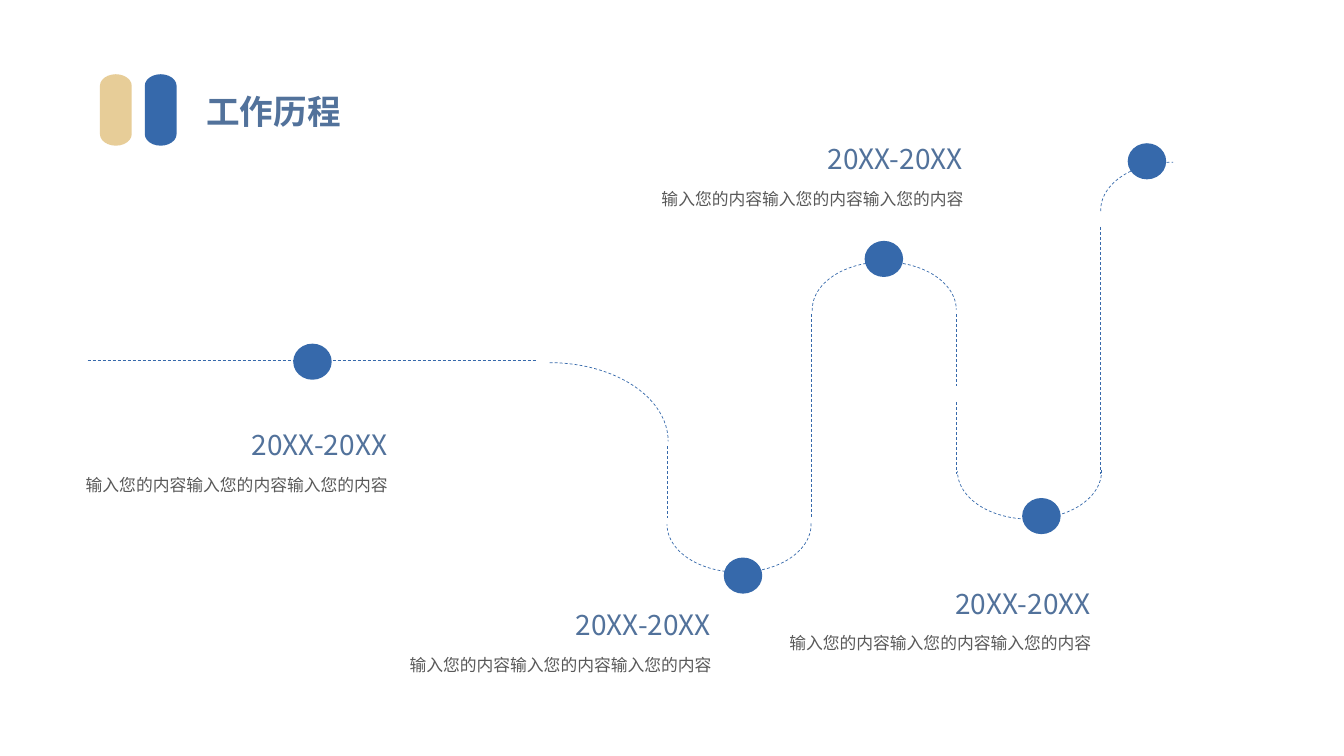
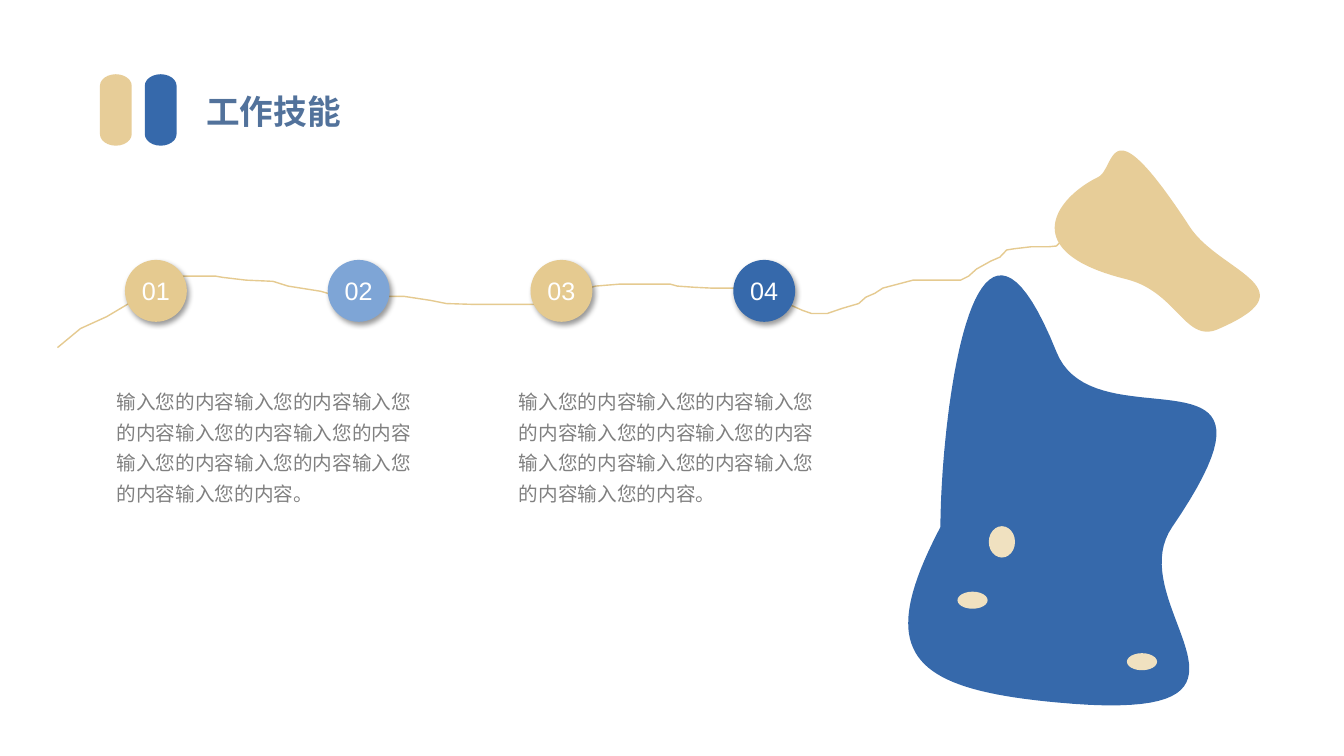
"""Build a two-slide career deck: a work timeline and a row of work skills."""
import dataclasses

import pptx
import pptx.dml.color
import pptx.enum.dml
import pptx.enum.shapes
import pptx.enum.text
import pptx.oxml
import pptx.oxml.ns
import pptx.util

Cm = pptx.util.Cm
Pt = pptx.util.Pt
Shape = pptx.enum.shapes.MSO_SHAPE
Align = pptx.enum.text.PP_ALIGN


@dataclasses.dataclass(frozen=True)
class Theme:
    """Colours, fonts and type sizes of the deck."""
    blue: str = "3669AB"
    light_blue: str = "7EA5D6"
    sand: str = "E7CD98"
    dark_sand: str = "E5CA90"
    pale_sand: str = "F0E1C0"
    heading: str = "52729B"
    body: str = "595959"
    soft_body: str = "808080"
    white: str = "FFFFFF"
    font: str = "Noto Sans CJK SC"
    number_font: str = "Arial"
    title_size: int = 24
    date_size: int = 20
    number_size: int = 18
    skill_size: int = 14
    detail_size: int = 12
    hairline: float = 0.5
    thread: float = 1


THEME = Theme()
PHRASE = "输入您的内容"

ROUTE_LINES = (
    (2.21, 9.09, 13.54, 9.09),
    (16.81, 11.25, 16.81, 13.06),
    (20.45, 7.92, 20.45, 13.08),
    (24.1, 7.92, 24.1, 9.73),
    (24.1, 10.13, 24.1, 11.94),
    (27.74, 5.72, 27.74, 11.94),
)
BEND_SIZE = (3.63, 2.41)
HALF_TURN = (107.49, 0)
ROUTE_ARCS = (
    ((10.87, 9.14, 5.97, 3.96), (162, 0), 0),
    ((16.81, 12.01, *BEND_SIZE), HALF_TURN, 180),
    ((20.47, 6.6, *BEND_SIZE), HALF_TURN, 0),
    ((24.13, 10.67, *BEND_SIZE), HALF_TURN, 180),
    ((27.74, 4.09, *BEND_SIZE), (107.49, 162.21), 0),
)
ROUTE_DOTS = ((7.39, 8.66), (18.24, 14.05), (21.79, 6.07), (25.76, 12.55), (28.42, 3.61))
MILESTONES = ((1.85, 11.68), (10.01, 16.21), (19.58, 15.67), (16.36, 4.47))

THREAD_POINTS = (
    (1.45, 8.76), (2.03, 8.28), (2.69, 7.98), (3.38, 7.57), (3.71, 7.32), (4.14, 7.14),
    (4.55, 6.96), (5.44, 6.96), (5.61, 6.99), (6.2, 7.06), (6.88, 7.09), (7.26, 7.21),
    (8.08, 7.34), (8.53, 7.47), (10.19, 7.47), (10.85, 7.57), (11.25, 7.65), (11.89, 7.67),
    (13.72, 7.67), (14.1, 7.59), (14.27, 7.49), (14.48, 7.34), (14.83, 7.26), (15.01, 7.21),
    (15.62, 7.16), (16.89, 7.16), (17.07, 7.21), (17.5, 7.24), (17.91, 7.26), (18.85, 7.26),
    (19.23, 7.34), (19.58, 7.49), (19.84, 7.65), (20.22, 7.82), (20.45, 7.9), (20.85, 7.9),
    (21.23, 7.77), (21.64, 7.65), (21.82, 7.49), (22.05, 7.39), (22.25, 7.26), (22.63, 7.16),
    (23.01, 7.06), (24.21, 7.06), (24.41, 6.96), (24.61, 6.78), (24.97, 6.58), (25.2, 6.48),
    (25.37, 6.3), (25.55, 6.27), (25.98, 6.22), (26.42, 6.22), (26.62, 6.2), (26.8, 6.02),
)
SAND_BLOB = (
    (27.66, 4.47),
    ((28.14, 4.27), (27.86, 2.46), (30, 5.74)),
    ((30.76, 6.86), (33.07, 7.26), (30.73, 8.28)),
    ((29.87, 8.69), (29.69, 7.37), (28.4, 7.04)),
    ((25.58, 6.35), (26.62, 4.98), (27.66, 4.47)),
)
BLUE_BLOB = (
    (23.7, 13.28),
    ((23.7, 10.85), (24.46, 3.48), (26.62, 8.86)),
    ((27.58, 11.3), (32.94, 8.31), (29.54, 13.28)),
    ((28.17, 15.29), (32.89, 18.29), (26.62, 17.7)),
    ((22.86, 17.35), (22.05, 16.43), (23.7, 13.28)),
)
SPOTS = ((24.92, 13.26, 0.66, 0.79), (24.13, 14.91, 0.76, 0.43), (28.4, 16.46, 0.76, 0.43))


def rgb(colour):
    """Turn a hex string into a colour value."""
    return pptx.dml.color.RGBColor.from_string(colour)


def paint(shape, fill=None):
    """Give a shape a flat fill, or none, without outline or shadow."""
    shape.shadow.inherit = False
    shape.line.fill.background()
    if fill:
        shape.fill.solid()
        shape.fill.fore_color.rgb = rgb(fill)
    else:
        shape.fill.background()


def draw_line(line, colour, width, dashed=False):
    """Style an outline."""
    line.color.rgb = rgb(colour)
    line.width = Pt(width)
    if dashed:
        line.dash_style = pptx.enum.dml.MSO_LINE.DASH


def add_shape(slide, kind, box, fill=None, rotation=0):
    """Add a flat preset shape; the box is left, top, width, height in cm."""
    shape = slide.shapes.add_shape(kind, *map(Cm, box))
    shape.rotation = rotation
    paint(shape, fill)
    return shape


def write(shape, text, size, colour, font=THEME.font, align=Align.LEFT, spacing=1.0, bold=False):
    """Write one styled paragraph into a shape."""
    shape.text_frame.word_wrap = True
    shape.text_frame.text = text
    paragraph = shape.text_frame.paragraphs[0]
    paragraph.alignment = align
    paragraph.line_spacing = spacing
    for run in paragraph.runs:
        run.font.name = font
        run.font.size = Pt(size)
        run.font.bold = bold
        run.font.color.rgb = rgb(colour)
        east_asian = pptx.oxml.parse_xml(
            f'<a:ea {pptx.oxml.ns.nsdecls("a")} typeface="{font}"/>')
        run.font._element.find(pptx.oxml.ns.qn("a:latin")).addnext(east_asian)


def add_text(slide, box, text, size, colour, **style):
    """Add a text box; the box is in cm."""
    write(slide.shapes.add_textbox(*map(Cm, box)), text, size, colour, **style)


def add_outline(slide, points, closed):
    """Add a freeform through points given in cm."""
    places = [(Cm(x), Cm(y)) for x, y in points]
    builder = slide.shapes.build_freeform(*places[0])
    builder.add_line_segments(places[1:], close=closed)
    shape = builder.convert_to_shape()
    paint(shape)
    return shape


def curve_points(start, *curves, steps=40):
    """Sample a chain of cubic curves as points."""
    points = [start]
    for first, second, end in curves:
        corners = (points[-1], first, second, end)
        for step in range(1, steps + 1):
            t = step / steps
            weights = ((1 - t) ** 3, 3 * t * (1 - t) ** 2, 3 * t * t * (1 - t), t ** 3)
            points.append(tuple(
                sum(weight * corner[axis] for weight, corner in zip(weights, corners))
                for axis in (0, 1)))
    return points


def add_blob(slide, curves, fill):
    """Add a filled shape with a smooth outline."""
    paint(add_outline(slide, curve_points(*curves), closed=True), fill)


def add_dashed_line(slide, ends):
    """Add a straight dashed piece of the route."""
    connector = slide.shapes.add_connector(
        pptx.enum.shapes.MSO_CONNECTOR.STRAIGHT, *map(Cm, ends))
    draw_line(connector.line, THEME.blue, THEME.hairline, dashed=True)
    connector._element.spPr.append(
        pptx.oxml.parse_xml(f'<a:effectLst {pptx.oxml.ns.nsdecls("a")}/>'))


def add_dashed_arc(slide, box, angles, rotation):
    """Add a curved dashed piece of the route."""
    arc = add_shape(slide, Shape.ARC, box, rotation=rotation)
    arc.adjustments[0], arc.adjustments[1] = angles
    draw_line(arc.line, THEME.blue, THEME.hairline, dashed=True)


def add_milestone(slide, left, top):
    """Add a date range above its right-aligned description."""
    add_text(slide, (left, top, 8.18, 0.91), PHRASE * 3, THEME.detail_size, THEME.body,
             align=Align.RIGHT, spacing=1.3)
    add_text(slide, (left + 3.84, top - 1.02, 4.32, 1.12), "20XX-20XX", THEME.date_size,
             THEME.heading, align=Align.RIGHT)


def add_number(slide, left, text, fill):
    """Add a numbered disc with a soft shadow."""
    disc = add_shape(slide, Shape.OVAL, (left, 6.55, 1.56, 1.56), fill)
    frame = disc.text_frame
    frame.margin_left = frame.margin_right = frame.margin_top = frame.margin_bottom = 0
    frame.vertical_anchor = pptx.enum.text.MSO_ANCHOR.MIDDLE
    write(disc, text, THEME.number_size, THEME.white, font=THEME.number_font, align=Align.CENTER)
    effects = disc._element.spPr.find(pptx.oxml.ns.qn("a:effectLst"))
    effects.append(pptx.oxml.parse_xml(
        f'<a:outerShdw {pptx.oxml.ns.nsdecls("a")} blurRad="{Pt(4)}" dist="{Pt(3)}" '
        'dir="3600000" algn="ctr" rotWithShape="0"><a:srgbClr val="000000">'
        '<a:alpha val="40000"/></a:srgbClr></a:outerShdw>'))


def add_titled_slide(presentation, title):
    """Add a blank slide with the two upright bars and a title."""
    slide = presentation.slides.add_slide(presentation.slide_layouts[6])
    for index, fill in enumerate((THEME.sand, THEME.blue)):
        add_shape(slide, Shape.FLOWCHART_TERMINATOR, (2.02 + 1.13 * index, 2.37, 1.8, 0.8),
                  fill, rotation=270)
    add_text(slide, (4.95, 2.16, 4.83, 1.27), title, THEME.title_size, THEME.heading,
             align=Align.JUSTIFY, bold=True)
    return slide


def build_timeline(presentation):
    """Build the winding work timeline."""
    slide = add_titled_slide(presentation, "工作历程")
    for ends in ROUTE_LINES:
        add_dashed_line(slide, ends)
    for box, angles, rotation in ROUTE_ARCS:
        add_dashed_arc(slide, box, angles, rotation)
    for left, top in ROUTE_DOTS:
        add_shape(slide, Shape.OVAL, (left, top, 0.97, 0.91), THEME.blue)
    for left, top in MILESTONES:
        add_milestone(slide, left, top)


def build_skills(presentation):
    """Build the numbered skills on a thread beside two blobs."""
    slide = add_titled_slide(presentation, "工作技能")
    thread = add_outline(slide, THREAD_POINTS, closed=False)
    draw_line(thread.line, THEME.dark_sand, THEME.thread)
    add_blob(slide, SAND_BLOB, THEME.sand)
    add_blob(slide, BLUE_BLOB, THEME.blue)
    for box in SPOTS:
        add_shape(slide, Shape.OVAL, box, THEME.pale_sand)
    for left in (2.69, 12.83):
        add_text(slide, (left, 9.53, 8, 4.14), PHRASE * 9 + "。", THEME.skill_size,
                 THEME.soft_body, spacing=1.3)
    fills = (THEME.dark_sand, THEME.light_blue, THEME.dark_sand, THEME.blue)
    for index, fill in enumerate(fills):
        add_number(slide, 3.15 + 5.11 * index, f"{index + 1:02}", fill)


def main():
    """Build and save the deck."""
    presentation = pptx.Presentation()
    presentation.slide_width = Cm(33.87)
    presentation.slide_height = Cm(19.05)
    build_timeline(presentation)
    build_skills(presentation)
    presentation.save("out.pptx")


if __name__ == "__main__":
    main()
